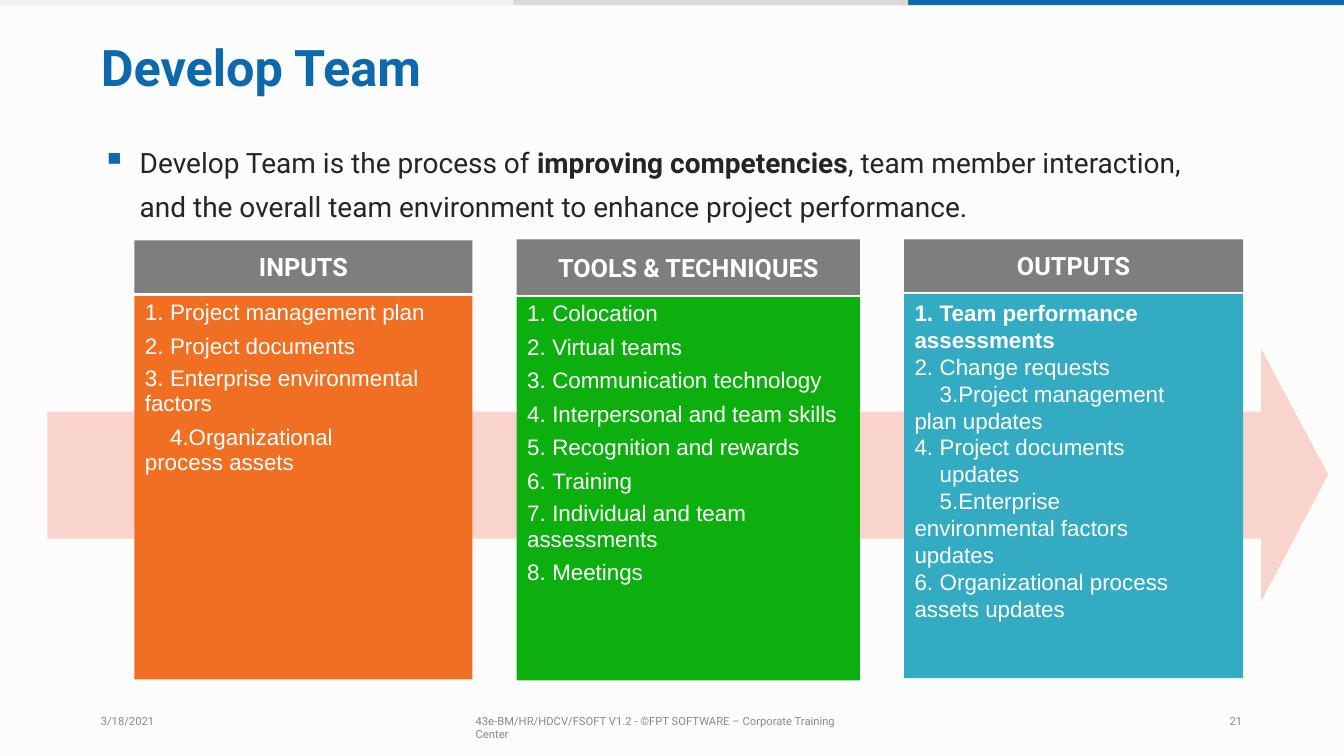
from dataclasses import dataclass

from lxml.etree import SubElement
from pptx import Presentation
from pptx.dml.color import RGBColor
from pptx.enum.shapes import MSO_SHAPE
from pptx.enum.text import MSO_ANCHOR, PP_ALIGN
from pptx.oxml.ns import qn
from pptx.util import Pt

PX = 9525
BLUE, WHITE, GREY = "0D69AE", "FFFFFF", "7E7E7E"
HANGING, LEADING, PLAIN = (34, -24), (10, 24), (10, 0)


@dataclass
class Line:
    """One paragraph of a panel; number 0 means no numbering."""
    text: str
    number: int = 1
    indent: tuple = HANGING
    before: float = 0
    spacing: float = 0
    right: int = 0


INPUTS = [
    Line("Project management plan"),
    Line("Project documents", before=4.8),
    Line("Enterprise environmental", before=4.8, spacing=18.2),
    Line("factors", 0, PLAIN, spacing=18.2),
    Line("Organizational process assets", 4, LEADING, 7, 17.3, 96),
]
TOOLS = [
    Line("Colocation"),
    Line("Virtual teams", before=4.8),
    Line("Communication technology", before=4.8),
    Line("Interpersonal and team skills", before=4.8),
    Line("Recognition and rewards", before=4.8),
    Line("Training", before=4.8),
    Line("Individual and team", before=4.8, spacing=18.2),
    Line("assessments", 0, PLAIN, spacing=18.2),
    Line("Meetings", 8, before=4.8),
]
OUTPUTS = [
    Line("*Team performance*"),
    Line("*assessments*", 0, PLAIN),
    Line("Change requests", 2),
    Line("Project management plan updates", 2, LEADING, right=58),
    Line("Project documents updates", 2, right=58),
    Line("Enterprise environmental factors updates", 2, LEADING, right=58),
    Line("Organizational process", 2),
    Line("assets updates", 0, PLAIN),
]


def rgb(color):
    """Turn a hex string into a colour."""
    return RGBColor.from_string(color)


def paint(shape, color):
    """Give a shape a flat fill without line or shadow."""
    shape.fill.solid()
    shape.fill.fore_color.rgb = rgb(color)
    shape.line.fill.background()
    shape.shadow.inherit = False
    return shape


def add_block(slide, left, top, width, height, color):
    """Add a filled rectangle."""
    block = slide.shapes.add_shape(
        MSO_SHAPE.RECTANGLE, left * PX, top * PX, width * PX, height * PX)
    return paint(block, color)


def add_box(slide, left, top, width, height):
    """Add a text box and return its prepared frame."""
    box = slide.shapes.add_textbox(left * PX, top * PX, width * PX, height * PX)
    return prepare(box.text_frame)


def prepare(frame, top=2, anchor=MSO_ANCHOR.TOP):
    """Set wrapping, insets and anchor of a text frame."""
    frame.word_wrap = True
    frame.margin_left = frame.margin_right = frame.margin_bottom = 0
    frame.margin_top = top * PX
    frame.vertical_anchor = anchor
    return frame


def add_bullet(paragraph, number=0):
    """Add a number, or a blue square when the number is 0."""
    properties = paragraph._p.get_or_add_pPr()
    if number:
        SubElement(properties, qn("a:buAutoNum"), type="arabicPeriod", startAt=str(number))
        tabs = SubElement(properties, qn("a:tabLst"))
        SubElement(tabs, qn("a:tab"), pos=str(34 * PX), algn="l")
    else:
        color = SubElement(properties, qn("a:buClr"))
        SubElement(color, qn("a:srgbClr"), val=BLUE)
        SubElement(properties, qn("a:buSzPct"), val="120000")
        SubElement(properties, qn("a:buChar"), char="▪")


def write(paragraph, text, size=16, font="Roboto", color=WHITE, bold=False,
          align=PP_ALIGN.LEFT, indent=(0, 0), right=0, before=0, spacing=0):
    """Write text into a paragraph; parts between asterisks are bold."""
    properties = paragraph._p.get_or_add_pPr()
    properties.set("marL", str(indent[0] * PX))
    properties.set("indent", str(indent[1] * PX))
    properties.set("marR", str(right * PX))
    paragraph.alignment = align
    paragraph.space_before = Pt(before)
    if spacing:
        paragraph.line_spacing = Pt(spacing)
    for position, part in enumerate(text.split("*")):
        if part:
            run = paragraph.add_run()
            run.text = part
            run.font.size = Pt(size)
            run.font.name = font
            run.font.bold = bold or position % 2 == 1
            run.font.color.rgb = rgb(color)


def add_panel(slide, left, top, width, height, color, lines, inset):
    """Add a coloured panel with its list."""
    panel = add_block(slide, left, top, width, height, color)
    frame = prepare(panel.text_frame, inset)
    for position, line in enumerate(lines):
        paragraph = frame.add_paragraph() if position else frame.paragraphs[0]
        if line.number:
            add_bullet(paragraph, line.number)
        write(paragraph, line.text, font="Arial", indent=line.indent,
              right=line.right, before=line.before, spacing=line.spacing)


def add_header(slide, left, top, width, height, text):
    """Add the grey heading of a panel."""
    header = add_block(slide, left, top, width, height, GREY)
    frame = prepare(header.text_frame, 0, MSO_ANCHOR.MIDDLE)
    write(frame.paragraphs[0], text, size=18, bold=True, align=PP_ALIGN.CENTER)


def add_flow_arrow(slide):
    """Add the wide arrow behind the panels."""
    builder = slide.shapes.build_freeform(1201, 332, scale=PX)
    builder.add_line_segments(
        [(1201, 392), (45, 392), (45, 513), (1201, 513), (1201, 573), (1265, 452)])
    paint(builder.convert_to_shape(), "F9D4CC")


def add_title(slide):
    """Place and write the title."""
    title = slide.shapes.title
    title.left, title.top, title.width, title.height = (
        side * PX for side in (96, 33, 322, 60))
    frame = prepare(title.text_frame, 1)
    write(frame.paragraphs[0], "Develop Team", size=36, color=BLUE, bold=True)


def add_definition(slide):
    """Add the bulleted definition."""
    frame = prepare(add_box(slide, 96, 128, 1037, 85)._parent.text_frame, 11)
    first, second = frame.paragraphs[0], frame.add_paragraph()
    add_bullet(first)
    write(first, "Develop Team is the process of *improving competencies*, "
          "team member interaction,", size=20, color="252525", indent=(37, -36))
    write(second, "and the overall team environment to enhance project performance.",
          size=20, color="252525", indent=(37, 0), before=7.2)


def main():
    """Build and save the slide."""
    deck = Presentation()
    deck.slide_width, deck.slide_height = 1280 * PX, 720 * PX
    slide = deck.slides.add_slide(deck.slide_layouts[5])
    slide.background.fill.solid()
    slide.background.fill.fore_color.rgb = rgb("FCFCFC")
    for left, width, color in ((856, 424, BLUE), (349, 516, "D9D9D9"), (0, 489, "F1F1F1")):
        add_block(slide, left, 0, width, 5, color)
    add_flow_arrow(slide)
    add_title(slide)
    for left, width, text in (
            (96, 51, "3/18/2021"),
            (453, 374, "43e-BM/HR/HDCV/FSOFT V1.2 - ©FPT SOFTWARE – Corporate Training Center"),
            (1171, 17, "21")):
        write(add_box(slide, left, 678, width, 16).paragraphs[0], text, size=8, color="888888")
    add_definition(slide)
    add_panel(slide, 128, 282, 322, 365, "F16F22", INPUTS, 2)
    add_panel(slide, 492, 283, 327, 365, "0DAF0E", TOOLS, 2)
    add_panel(slide, 861, 280, 323, 366, "33ABC3", OUTPUTS, 5)
    add_header(slide, 128, 229, 322, 50, "INPUTS")
    add_header(slide, 492, 228, 327, 53, "TOOLS & TECHNIQUES")
    add_header(slide, 861, 228, 323, 50, "OUTPUTS")
    deck.save("out.pptx")


if __name__ == "__main__":
    main()
